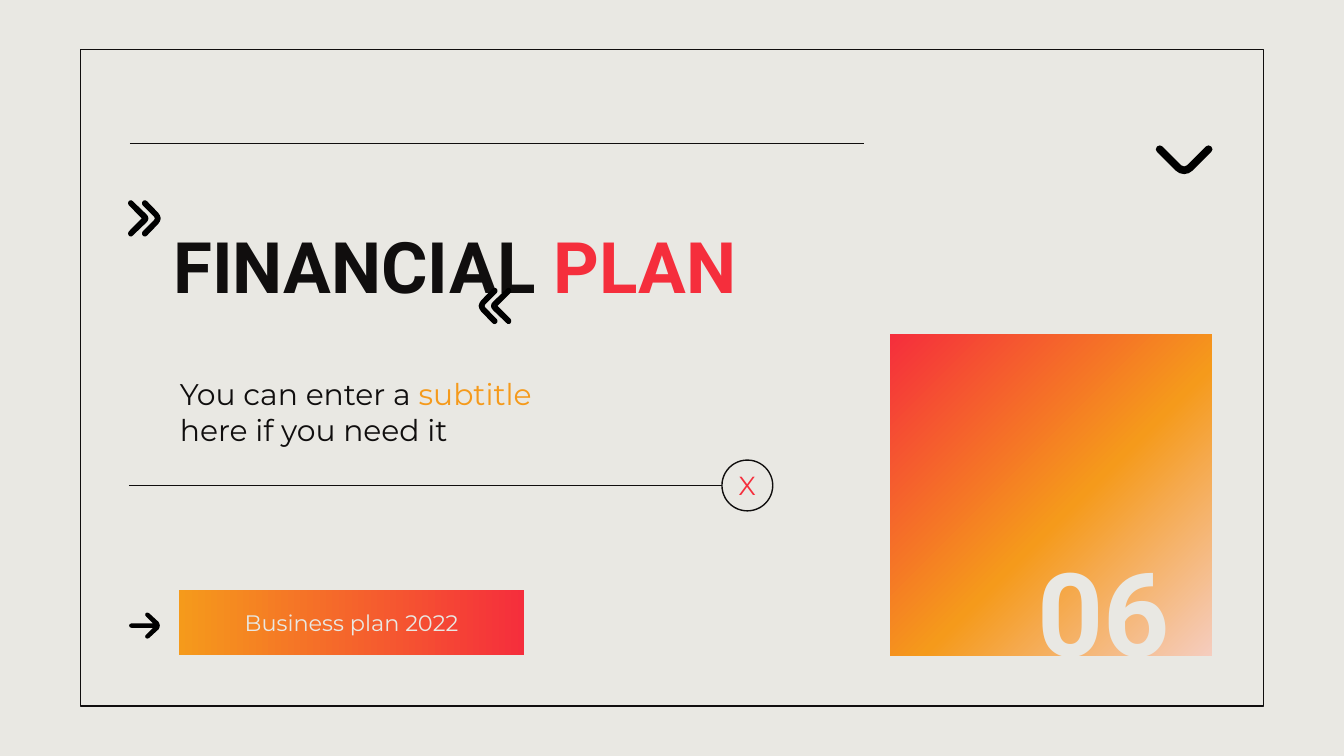
import lxml.etree
import pptx
import pptx.dml.color
import pptx.enum.shapes
import pptx.enum.text
import pptx.oxml
import pptx.oxml.ns
import pptx.util

Pt = pptx.util.Pt
RGB = pptx.dml.color.RGBColor.from_string
SHAPE = pptx.enum.shapes.MSO_SHAPE
ALIGN = pptx.enum.text.PP_ALIGN
qn = pptx.oxml.ns.qn


class Theme:
    INK, BLACK, PAPER = "100E0E", "000000", "E9E8E3"
    RED, ORANGE, BLUSH = "F52E3C", "F59A1B", "F5CDBF"
    HEAD, BODY = "Roboto", "Montserrat"
    NUMBER, TITLE, SUBTITLE, MARK, LABEL = 62, 38, 16, 14, 12
    HAIRLINE, STROKE, INSET = 0.75, 1.5, 7.2


# Half outlines of the arrow icons: (distance behind the tip, distance from the axis)
QUOTE_OUTER = [(0, 0), (0.4, 1.3), (1.2, 2.5), (7, 8.5), (7.7, 9), (8.4, 8.7),
               (8.6, 8.1), (8.4, 7.5), (2.2, 1.3), (1.6, 0)]
QUOTE_INNER = [(0, 0), (0.3, 0.9), (1, 1.8), (8, 8.5), (8.6, 9), (9.2, 8.7),
               (9.4, 8.1), (9.2, 7.5), (2.3, 0.6), (2, 0)]
ARROW = [(0, 0), (0.2, 1.1), (0.7, 2), (5.8, 6.7), (6.8, 7), (7.6, 6.6),
         (7.8, 5.6), (7.4, 5), (3.6, 1.2), (15.1, 1.2), (16.1, 0.8), (16.4, 0)]
WIDE_CHEVRON = [(0, 0), (0.5, 2.4), (1.8, 4.4), (11.9, 14.5), (13.3, 15.2), (14.8, 14.5),
                (15.4, 13), (14.8, 11.6), (4.7, 1.5), (4.1, 0)]
LEFT, RIGHT, DOWN = (-1, 0), (1, 0), (0, 1)


def write(tf, runs, size, font=Theme.BODY, bold=False, align=ALIGN.LEFT,
          inset=Theme.INSET, wrap=True):
    """Fill a text frame with one paragraph of (text, colour) runs."""
    tf.word_wrap = wrap
    tf.auto_size = pptx.enum.text.MSO_AUTO_SIZE.NONE
    tf.vertical_anchor = pptx.enum.text.MSO_ANCHOR.MIDDLE
    tf.margin_left = tf.margin_right = tf.margin_top = tf.margin_bottom = Pt(inset)
    p = tf.paragraphs[0]
    p.alignment = align
    for text, color in runs:
        r = p.add_run()
        r.text = text
        r.font.name, r.font.size, r.font.bold = font, Pt(size), bold
        r.font.color.rgb = RGB(color)


class Deck:
    def __init__(self, prs):
        self.slide = prs.slides.add_slide(prs.slide_layouts[5])
        self.shapes = self.slide.shapes
        self.slide.background.fill.solid()
        self.slide.background.fill.fore_color.rgb = RGB(Theme.PAPER)

    def paint(self, sp, fill=None, line=None, width=Theme.HAIRLINE):
        sp.shadow.inherit = False
        if fill:
            sp.fill.solid()
            sp.fill.fore_color.rgb = RGB(fill)
        else:
            sp.fill.background()
        if line:
            sp.line.color.rgb = RGB(line)
            sp.line.width = Pt(width)
        else:
            sp.line.fill.background()

    def shape(self, kind, x, y, w, h, line=None):
        sp = self.shapes.add_shape(kind, Pt(x), Pt(y), Pt(w), Pt(h))
        self.paint(sp, line=line)
        return sp

    def gradient_box(self, x, y, w, h, stops, angle):
        sp = self.shape(SHAPE.RECTANGLE, x, y, w, h)
        stop_xml = "".join(f'<a:gs pos="{pos * 1000}"><a:srgbClr val="{color}"/></a:gs>'
                           for pos, color in stops)
        grad = pptx.oxml.parse_xml(
            f'<a:gradFill {pptx.oxml.ns.nsdecls("a")} rotWithShape="1">'
            f'<a:gsLst>{stop_xml}</a:gsLst><a:lin ang="{angle * 60000}" scaled="0"/></a:gradFill>')
        no_fill = sp._element.spPr.find(qn("a:noFill"))
        no_fill.getparent().replace(no_fill, grad)
        return sp

    def title(self, x, y, w, h, runs, **fmt):
        sp = self.shapes.title
        sp.left, sp.top, sp.width, sp.height = Pt(x), Pt(y), Pt(w), Pt(h)
        write(sp.text_frame, runs, **fmt)

    def text(self, x, y, w, h, runs, **fmt):
        sp = self.shapes.add_textbox(Pt(x), Pt(y), Pt(w), Pt(h))
        write(sp.text_frame, runs, **fmt)

    def rule(self, x1, x2, y):
        c = self.shapes.add_connector(pptx.enum.shapes.MSO_CONNECTOR.STRAIGHT,
                                      Pt(x1), Pt(y), Pt(x2), Pt(y))
        c.line.color.rgb = RGB(Theme.INK)
        c.line.width = Pt(Theme.HAIRLINE)
        lxml.etree.SubElement(c._element.spPr, qn("a:effectLst"))

    def icon(self, half, tip_x, tip_y, direction, **style):
        """Mirror a half outline about its axis and point it in a direction."""
        dx, dy = direction
        outline = half + [(back, -side) for back, side in half[-2:0:-1]]
        points = [(Pt(tip_x - dx * back + dy * side), Pt(tip_y - dy * back + dx * side))
                  for back, side in outline]
        builder = self.shapes.build_freeform(*points[0])
        builder.add_line_segments(points[1:], close=True)
        self.paint(builder.convert_to_shape(), **style)

    def quote_mark(self, tip_x, tip_y, direction):
        for half, offset in ((QUOTE_OUTER, 0), (QUOTE_INNER, 6.6)):
            self.icon(half, tip_x - direction[0] * offset, tip_y, direction,
                      fill=Theme.INK, line=Theme.BLACK, width=Theme.STROKE)


def main():
    prs = pptx.Presentation()
    prs.slide_width, prs.slide_height = Pt(720), Pt(405)
    deck = Deck(prs)

    # Frame and section number
    deck.shape(SHAPE.RECTANGLE, 43.2, 26.7, 633.6, 351.6, line=Theme.INK)
    deck.gradient_box(476.9, 179, 172.4, 172.4,
                      [(0, Theme.RED), (55, Theme.ORANGE), (100, Theme.BLUSH)], angle=45)
    deck.text(513.4, 293.8, 155.5, 66.2, [("06", Theme.PAPER)], size=Theme.NUMBER,
              font=Theme.HEAD, bold=True, align=ALIGN.CENTER)

    # Title and subtitle
    deck.title(85.7, 87.1, 433.4, 109.4, [("FINANCIAL ", Theme.INK), ("PLAN", Theme.RED)],
               size=Theme.TITLE, font=Theme.HEAD, bold=True)
    deck.text(89.3, 196.6, 226.8, 48.2,
              [("You can enter a ", Theme.INK), ("subtitle ", Theme.ORANGE),
               ("here if you need it", Theme.INK)], size=Theme.SUBTITLE)

    # Rules and the circled mark
    deck.rule(69.6, 462.9, 77)
    deck.rule(69.1, 386.8, 260.1)
    mark = deck.shape(SHAPE.OVAL, 386.8, 246.5, 27.2, 27.2, line=Theme.INK)
    write(mark.text_frame, [("X", Theme.RED)], size=Theme.MARK,
          align=ALIGN.CENTER, inset=0, wrap=False)

    # Button
    button = deck.gradient_box(95.9, 316.2, 184.9, 34.7,
                               [(0, Theme.ORANGE), (100, Theme.RED)], angle=0)
    write(button.text_frame, [("Business plan 2022", Theme.PAPER)], size=Theme.LABEL,
          align=ALIGN.CENTER)

    # Icons
    deck.quote_mark(257.2, 163.9, LEFT)
    deck.quote_mark(85.4, 117, RIGHT)
    deck.icon(ARROW, 85.6, 335.2, RIGHT, fill=Theme.BLACK)
    deck.icon(WIDE_CHEVRON, 634.4, 93.3, DOWN, fill=Theme.BLACK)

    prs.save("out.pptx")


if __name__ == "__main__":
    main()
